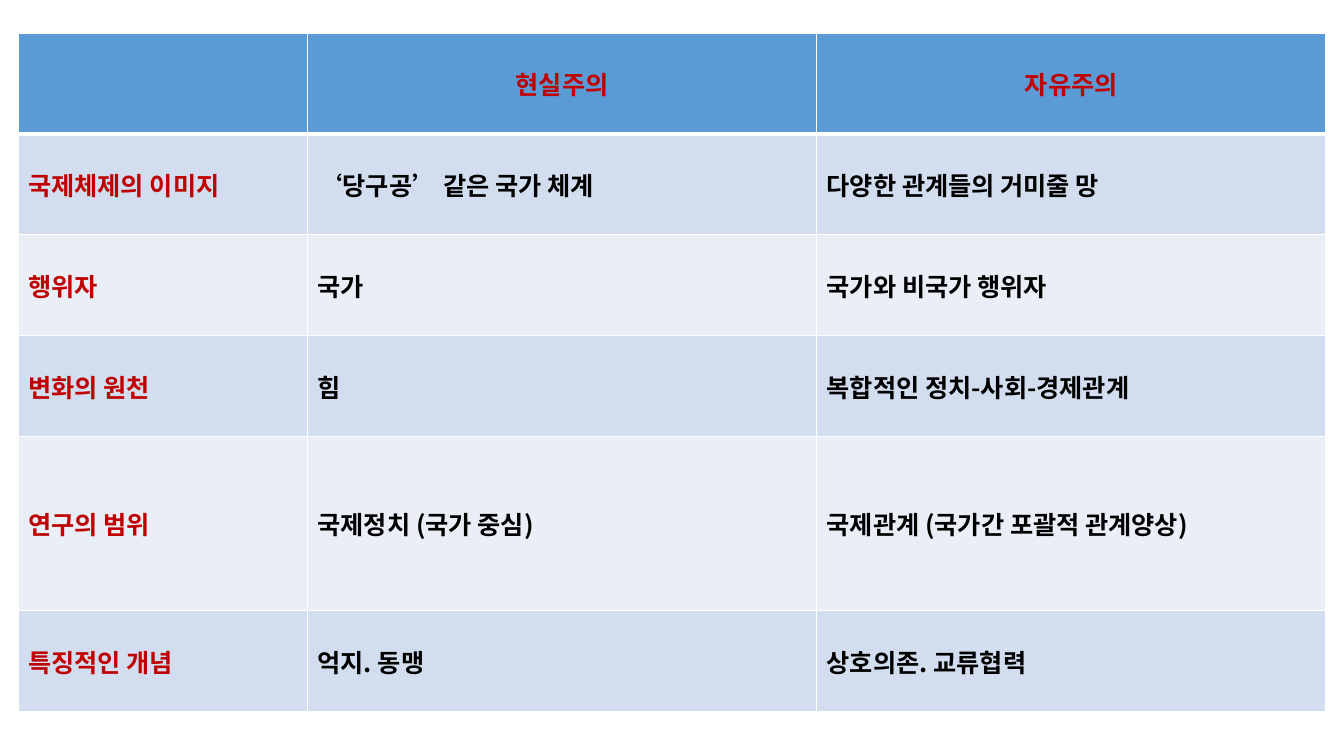
from lxml import etree
from pptx import Presentation
from pptx import util as u
from pptx.dml import color as c
from pptx.enum import text as t
from pptx.oxml import ns

COLORS = {"header": "5B9BD5", "odd": "D2DEEF", "even": "EAEFF7",
          "label": "C00000", "body": "000000", "border": "FFFFFF"}
FONT = "Noto Sans CJK KR"
COLUMN_WIDTHS = [2.87, 5.05, 5.05]
ROW_HEIGHTS = [1, 1, 1, 1, 1.73, 1]
ROWS = [
    ["", "현실주의", "자유주의"],
    ["국제체제의 이미지", "‘당구공’ 같은 국가 체계", "다양한 관계들의 거미줄 망"],
    ["행위자", "국가", "국가와 비국가 행위자"],
    ["변화의 원천", "힘", "복합적인 정치-사회-경제관계"],
    ["연구의 범위", "국제정치 (국가 중심)", "국제관계 (국가간 포괄적 관계양상)"],
    ["특징적인 개념", "억지. 동맹", "상호의존. 교류협력"],
]


def write_text(cell, content, color="body", align=t.PP_ALIGN.LEFT, size=18):
    cell.vertical_anchor = t.MSO_ANCHOR.MIDDLE
    paragraph = cell.text_frame.paragraphs[0]
    paragraph.alignment = align
    run = paragraph.add_run()
    run.text = content
    run.font.size = u.Pt(size)
    run.font.bold = True
    run.font.name = FONT
    run.font.color.rgb = c.RGBColor.from_string(COLORS[color])
    east_asian = etree.SubElement(run.font._element, ns.qn("a:ea"))
    east_asian.set("typeface", FONT)


def add_borders(cell, widths):
    properties = cell._tc.get_or_add_tcPr()
    for side, width in widths.items():
        line = etree.SubElement(properties, ns.qn("a:ln" + side), w=str(u.Pt(width)))
        fill = etree.SubElement(line, ns.qn("a:solidFill"))
        etree.SubElement(fill, ns.qn("a:srgbClr"), val=COLORS["border"])


presentation = Presentation()
presentation.slide_width = u.Inches(13.33)
presentation.slide_height = u.Inches(7.5)
slide = presentation.slides.add_slide(presentation.slide_layouts[6])

# Comparison table
table = slide.shapes.add_table(
    len(ROWS), len(COLUMN_WIDTHS), u.Inches(0.18), u.Inches(0.33),
    u.Inches(sum(COLUMN_WIDTHS)), u.Inches(sum(ROW_HEIGHTS))).table
for column, width in zip(table.columns, COLUMN_WIDTHS):
    column.width = u.Inches(width)
for row, height in zip(table.rows, ROW_HEIGHTS):
    row.height = u.Inches(height)

# Cells: header row, then alternating bands with a red label column
for row_index, row_texts in enumerate(ROWS):
    is_header = row_index == 0
    band = "header" if is_header else "odd" if row_index % 2 else "even"
    for column_index, content in enumerate(row_texts):
        cell = table.cell(row_index, column_index)
        add_borders(cell, {"L": 1, "R": 1, "T": 3 if row_index == 1 else 1,
                           "B": 3 if is_header else 1})
        cell.fill.solid()
        cell.fill.fore_color.rgb = c.RGBColor.from_string(COLORS[band])
        if content:
            write_text(cell, content,
                       color="label" if is_header or column_index == 0 else "body",
                       align=t.PP_ALIGN.CENTER if is_header else t.PP_ALIGN.LEFT)

presentation.save("out.pptx")
